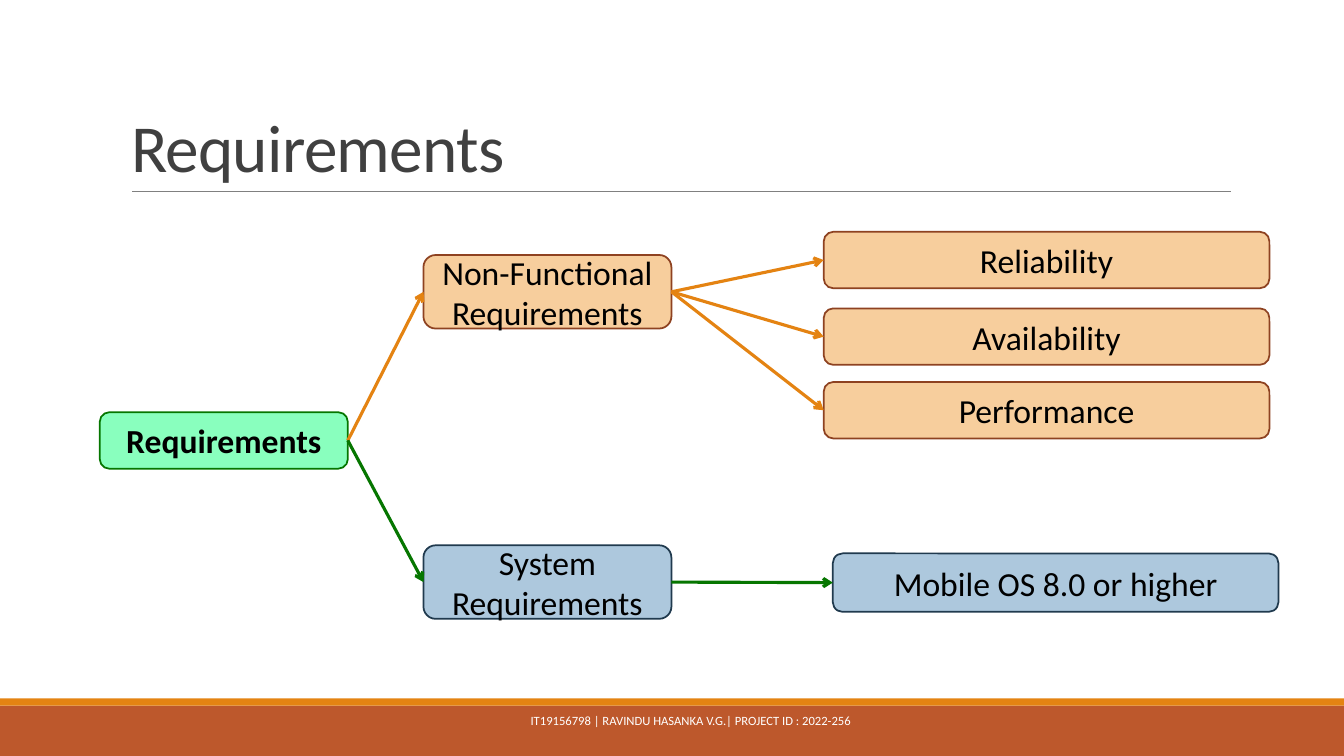
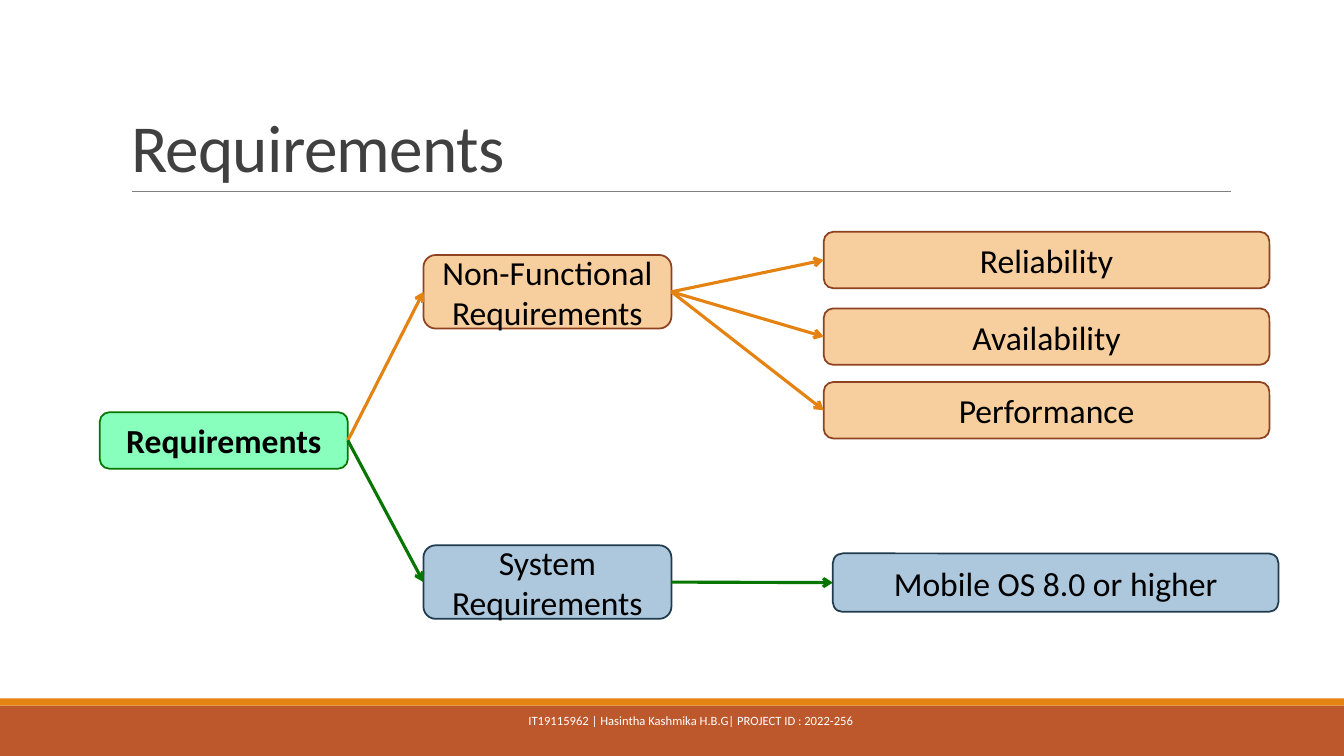
from pptx import Presentation
from pptx.dml.color import RGBColor
from pptx.enum.shapes import MSO_CONNECTOR as LINE, MSO_SHAPE as SHAPE
from pptx.enum.text import MSO_ANCHOR as ANCHOR, PP_ALIGN as ALIGN
from pptx.oxml.ns import qn
from pptx.util import Inches, Pt
from lxml.etree import SubElement

FONT = "Calibri"
BLACK = RGBColor(0x00, 0x00, 0x00)
WHITE = RGBColor(0xFF, 0xFF, 0xFF)
DARK = RGBColor(0x40, 0x40, 0x40)
GRAY = RGBColor(0x80, 0x80, 0x80)
RUST = RGBColor(0xBD, 0x58, 0x2C)
ORANGE = RGBColor(0xE4, 0x83, 0x12)
GREEN = RGBColor(0x06, 0x76, 0x00)
MINT = RGBColor(0x89, 0xFF, 0xBE)
PEACH = RGBColor(0xF7, 0xCE, 0x9D)
BROWN = RGBColor(0x8E, 0x42, 0x21)
SKY = RGBColor(0xAD, 0xC8, 0xDD)
NAVY = RGBColor(0x20, 0x3A, 0x4E)

BANDS = [(7, 0.5, RUST), (6.93, 0.07, ORANGE)]
# name: text, left, top, width, height, fill, border
BOXES = {
    "root": ("Requirements", 0.99, 4.09, 2.46, 0.56, MINT, GREEN),
    "quality": ("Non-Functional Requirements", 4.2, 2.53, 2.46, 0.73, PEACH, BROWN),
    "system": ("System Requirements", 4.2, 5.41, 2.46, 0.73, SKY, NAVY),
    "reliable": ("Reliability", 8.17, 2.3, 4.42, 0.56, PEACH, BROWN),
    "available": ("Availability", 8.17, 3.06, 4.42, 0.56, PEACH, BROWN),
    "perform": ("Performance", 8.17, 3.79, 4.42, 0.56, PEACH, BROWN),
    "mobile": ("Mobile OS 8.0 or higher", 8.26, 5.49, 4.42, 0.58, SKY, NAVY),
}
LINKS = [
    ("root", "quality", ORANGE),
    ("root", "system", GREEN),
    ("quality", "reliable", ORANGE),
    ("quality", "available", ORANGE),
    ("quality", "perform", ORANGE),
    ("system", "mobile", GREEN),
]
FOOTERS = [
    "IT19156798 | RAVINDU HASANKA V.G.| PROJECT ID : 2022-256",
    "IT19115962 | Hasintha Kashmika H.B.G| PROJECT ID : 2022-256",
]


def write(shape, text, size=24, color=BLACK, bold=False, align=ALIGN.CENTER,
          anchor=ANCHOR.MIDDLE, leading=None, spacing=None):
    """Fill a shape with one formatted paragraph; spacing is in points."""
    frame = shape.text_frame
    frame.word_wrap = True
    frame.vertical_anchor = anchor
    para = frame.paragraphs[0]
    para.alignment = align
    para.line_spacing = leading
    run = para.add_run()
    run.text = text
    run.font.name = FONT
    run.font.size = Pt(size)
    run.font.bold = bold
    run.font.color.rgb = color
    if spacing is not None:
        run._r.get_or_add_rPr().set("spc", str(round(spacing * 100)))


def rule(slide, ends, color, width):
    """Draw a straight line without a shadow."""
    line = slide.shapes.add_connector(LINE.STRAIGHT, *map(Inches, ends))
    line.line.color.rgb = color
    line.line.width = Pt(width)
    SubElement(line._element.spPr, qn("a:effectLst"))
    return line


deck = Presentation()
deck.slide_width = Inches(13.33)
deck.slide_height = Inches(7.5)

for footer in FOOTERS:
    slide = deck.slides.add_slide(deck.slide_layouts[5])
    shapes = slide.shapes

    for top, height, color in BANDS:
        band = shapes.add_shape(SHAPE.RECTANGLE, 0, Inches(top),
                                deck.slide_width, Inches(height))
        band.shadow.inherit = False
        band.fill.solid()
        band.fill.fore_color.rgb = color
        band.line.fill.background()
    rule(slide, (1.31, 1.9, 12.21, 1.9), GRAY, 0.5)

    title = shapes.title
    title.left, title.top = Inches(1.2), Inches(0.31)
    title.width, title.height = Inches(11), Inches(1.59)
    write(title, "Requirements", size=48, color=DARK, align=ALIGN.LEFT,
          anchor=ANCHOR.BOTTOM, leading=0.85, spacing=-0.5)

    nodes = {}
    for name, (text, *place, fill, border) in BOXES.items():
        box = shapes.add_shape(SHAPE.ROUNDED_RECTANGLE, *map(Inches, place))
        box.shadow.inherit = False
        box.fill.solid()
        box.fill.fore_color.rgb = fill
        box.line.color.rgb = border
        box.line.width = Pt(1.25)
        write(box, text, bold=name == "root")
        nodes[name] = box

    for start, end, color in LINKS:
        arrow = rule(slide, (0, 0, 0, 0), color, 2.25)
        arrow.begin_connect(nodes[start], 3)
        arrow.end_connect(nodes[end], 1)
        SubElement(arrow.get_or_add_ln(), qn("a:tailEnd"), type="arrow")

    note = shapes.add_textbox(Inches(4.42), Inches(6.95), Inches(4.86), Inches(0.4))
    write(note, footer, size=9, color=WHITE)

deck.save("out.pptx")
